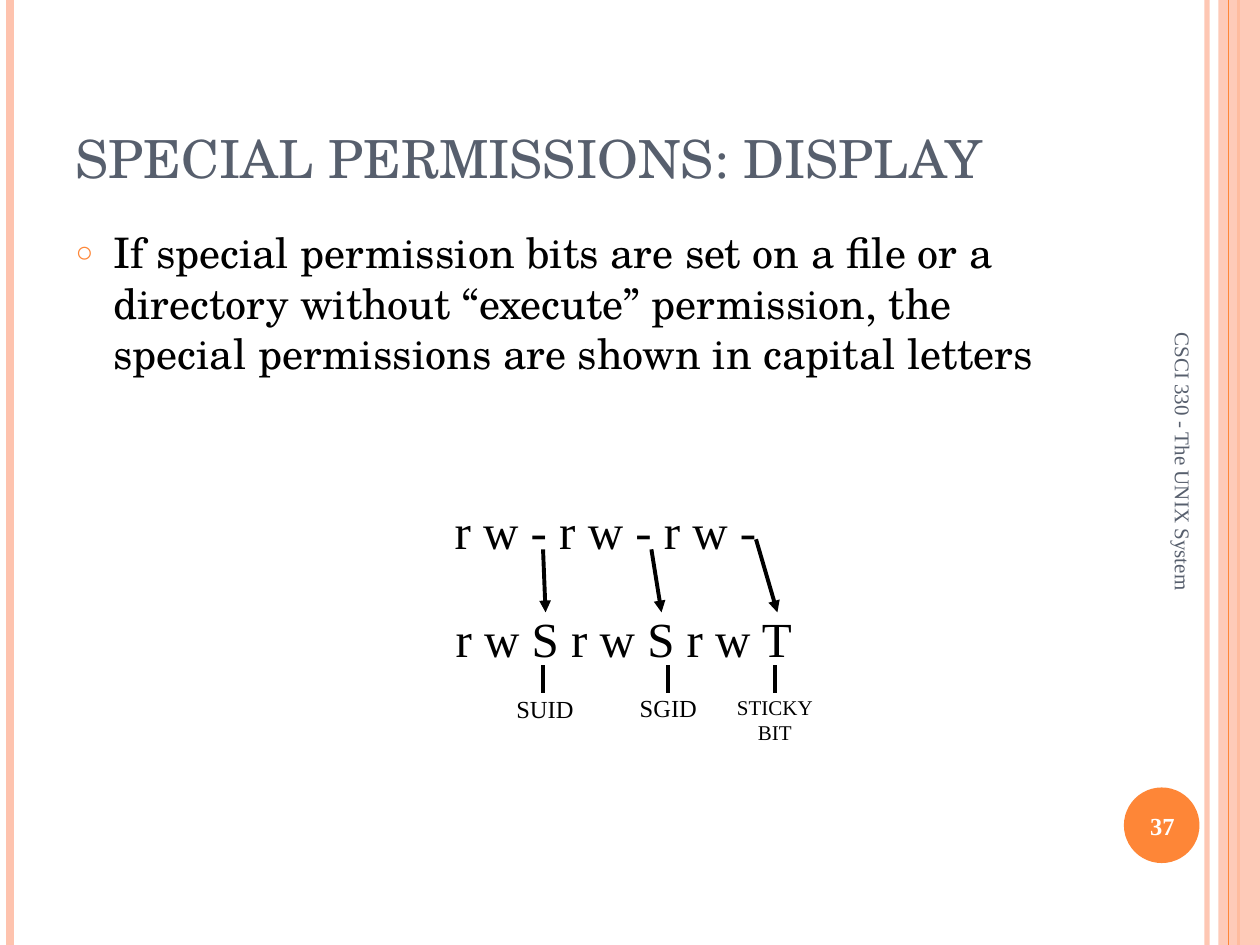
from lxml.etree import SubElement
from pptx import Presentation
from pptx.dml.color import RGBColor
from pptx.enum.shapes import MSO_CONNECTOR, MSO_SHAPE
from pptx.enum.text import MSO_ANCHOR, MSO_AUTO_SIZE, PP_ALIGN
from pptx.oxml.ns import qn
from pptx.util import Inches, Pt

COLORS = {"peach": "FEC3AE", "orange": "FE8637", "slate": "575F6D",
          "black": "000000", "white": "FFFFFF"}
WIDTH, HEIGHT = Inches(10), Inches(7.5)
COLUMNS, ROWS = 100, 75
SERIF, SCHOOL = "Times New Roman", "TeX Gyre Schola"


def color(name):
    return RGBColor.from_string(COLORS[name])


def across(columns):
    return round(WIDTH * columns / COLUMNS)


def down(rows):
    return round(HEIGHT * rows / ROWS)


def area(left, top, width, height):
    return across(left), down(top), across(width), down(height)


def set_opacity(shape, percent):
    tint = next(shape._element.spPr.iter(qn("a:srgbClr")))
    SubElement(tint, qn("a:alpha"), val=str(percent * 1000))


def add_line(page, start, end, tint="black", weight=2.25, arrow=False):
    line = page.shapes.add_connector(
        MSO_CONNECTOR.STRAIGHT, across(start[0]), down(start[1]),
        across(end[0]), down(end[1]))
    line.line.color.rgb = color(tint)
    line.line.width = Pt(weight)
    if arrow:
        SubElement(line.line._get_or_add_ln(), qn("a:tailEnd"), type="triangle")
    SubElement(line._element.spPr, qn("a:effectLst"))
    return line


def add_stripe(page, column, tint, weight):
    return add_line(page, (column, 0), (column, ROWS), tint, weight)


def add_panel(page, kind, place, tint):
    panel = page.shapes.add_shape(kind, *area(*place))
    panel.shadow.inherit = False
    panel.fill.solid()
    panel.fill.fore_color.rgb = color(tint)
    panel.line.fill.background()
    return panel


def add_bullet(paragraph):
    properties = paragraph._p.get_or_add_pPr()
    properties.set("marL", str(Inches(0.3)))
    properties.set("indent", str(Inches(-0.3)))
    bullet_color = SubElement(properties, qn("a:buClr"))
    SubElement(bullet_color, qn("a:srgbClr"), val=COLORS["orange"])
    SubElement(properties, qn("a:buSzPct"), val="70000")
    SubElement(properties, qn("a:buChar"), char="○")


def write(box, text, size, tint="black", font=SERIF, align=PP_ALIGN.CENTER,
          anchor=MSO_ANCHOR.TOP, bold=False, wrap=True, bullet=False):
    frame = box.text_frame
    frame.text = text
    frame.auto_size = MSO_AUTO_SIZE.NONE
    frame.word_wrap = wrap
    frame.vertical_anchor = anchor
    for paragraph in frame.paragraphs:
        if bullet:
            add_bullet(paragraph)
        paragraph.alignment = align
        paragraph.space_before = Pt(0)
        paragraph.font.name = font
        paragraph.font.size = Pt(size)
        paragraph.font.bold = bold
        paragraph.font.color.rgb = color(tint)


def add_text(page, place, text, size, **style):
    box = page.shapes.add_textbox(*area(*place))
    write(box, text, size, **style)
    return box


def fill_placeholder(shape, place, text, size, **style):
    shape.left, shape.top, shape.width, shape.height = area(*place)
    write(shape, text, size, font=SCHOOL, align=PP_ALIGN.LEFT, **style)


def draw_frame(page):
    set_opacity(add_stripe(page, 95.8, "peach", 3), 93)
    add_stripe(page, 0.8, "peach", 4.5)
    add_stripe(page, 98.3, "orange", 1.5)
    band = add_panel(page, MSO_SHAPE.RECTANGLE, (96.7, 0, 3.3, ROWS), "peach")
    set_opacity(band, 87)
    add_stripe(page, 97.5, "orange", 0.75)
    add_panel(page, MSO_SHAPE.OVAL, (89.2, 62.5, 6, 6), "orange")
    add_text(page, (88.9, 62.7, 6.7, 5.7), "37", 14, tint="white",
             anchor=MSO_ANCHOR.MIDDLE, bold=True)
    footer = add_text(page, (76.4, 40.9, 35, 4), "CSCI 330 - The UNIX System", 12,
                      tint="slate", align=PP_ALIGN.LEFT, anchor=MSO_ANCHOR.MIDDLE)
    footer.rotation = 90


def draw_outline(page):
    title, body = page.placeholders
    fill_placeholder(title, (5, 3, 81.7, 12.5), "SPECIAL PERMISSIONS: DISPLAY", 30,
                     tint="slate", anchor=MSO_ANCHOR.BOTTOM)
    fill_placeholder(
        body, (5, 17.5, 81.7, 53.3),
        "If special permission bits are set on a file or a directory without "
        "“execute” permission, the special permissions are shown in capital letters",
        24, bullet=True)


def draw_permissions(page):
    add_text(page, (35.1, 39.2, 25.9, 5.7), "r w - r w - r w -", 28, wrap=False)
    add_text(page, (33.3, 47.8, 32.4, 5.7), "r w S r w S r w T", 28)
    arrows = [((43.1, 43.6), 43.3), ((51.7, 43.6), 52.5), ((60, 42.8), 61.7)]
    for start, column in arrows:
        add_line(page, start, (column, 48.6), arrow=True)
    labels = [("SUID", 43.1, (40, 54.6, 6.5, 3.4), 14),
              ("SGID", 53, (49.8, 54.5, 6.5, 3.4), 14),
              ("STICKY\nBIT", 61.5, (57.5, 54.6, 8, 5), 12)]
    for text, column, place, size in labels:
        add_text(page, place, text, size, wrap=False)
        add_line(page, (column, 52.8), (column, 55))


def main():
    """Build the slide on special permission letters and save it."""
    deck = Presentation()
    deck.slide_width, deck.slide_height = WIDTH, HEIGHT
    page = deck.slides.add_slide(deck.slide_layouts[1])
    draw_frame(page)
    draw_outline(page)
    draw_permissions(page)
    deck.save("out.pptx")


if __name__ == "__main__":
    main()
